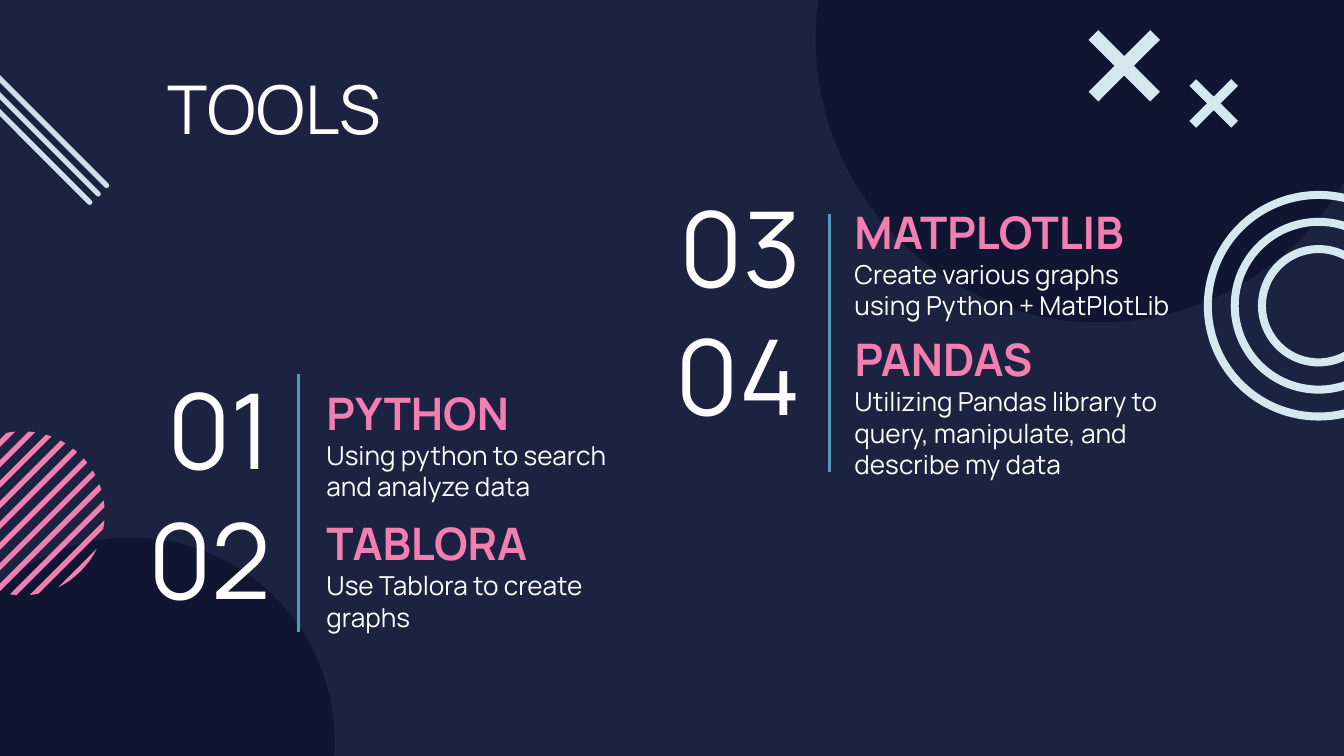
from math import sqrt

from lxml import etree
from pptx import Presentation
from pptx.dml.color import RGBColor
from pptx.enum.shapes import MSO_CONNECTOR, MSO_SHAPE
from pptx.enum.text import MSO_ANCHOR, PP_ALIGN
from pptx.oxml.ns import qn
from pptx.util import Pt

ELLIPSE, DONUT = MSO_SHAPE.OVAL, MSO_SHAPE.DONUT
STRAIGHT = MSO_CONNECTOR.STRAIGHT
TOP, MIDDLE, BOTTOM = MSO_ANCHOR.TOP, MSO_ANCHOR.MIDDLE, MSO_ANCHOR.BOTTOM
LEFT, RIGHT = PP_ALIGN.LEFT, PP_ALIGN.RIGHT

COLORS = {
    "background": "1C2340", "disc": "101632", "pink": "F27EB2", "ice": "D7E7EF",
    "streak": "D2DFE9", "divider": "559ABA", "white": "FFFFFF",
}
FONT = "Manrope"

TITLE = "TOOLS"
COLUMNS = [
    {"number_left": 48.2, "divider": (159.8, 200.2), "text_left": 167.8, "heading_height": 46.8,
     "tools": [
         ("01", "PYTHON", "Using python to search and analyze data", 228.2, 298),
         ("02", "TABLORA", "Use Tablora to create graphs", 298.1, 227.5)]},
    {"number_left": 331.9, "divider": (444.2, 114.5), "text_left": 450.7, "heading_height": 18.7,
     "tools": [
         ("03", "MATPLOTLIB", "Create various graphs using Python + MatPlotLib", 131, 185),
         ("04", "PANDAS", "Utilizing Pandas library to query, manipulate, and describe my data",
          199.4, 212.4)]},
]
DIVIDER_LENGTH = 138.2
NUMBER_SIZE = (104.4, 18.7)
DETAIL_SIZE = (185, 31.7)

STYLES = {
    "title": {"size": 36, "color": "white", "bold": False, "align": LEFT, "anchor": TOP},
    "number": {"size": 56, "color": "white", "bold": False, "align": RIGHT, "anchor": MIDDLE},
    "heading": {"size": 24, "color": "pink", "bold": True, "align": LEFT, "anchor": BOTTOM},
    "detail": {"size": 14, "color": "white", "bold": False, "align": LEFT, "anchor": TOP},
}

DISCS = [(-38.9, 288, 218.2), (437, -131, 303.8)]
RING_CENTER, RING_RADII, RING_WIDTH = (706.4, 163.8), (61.5, 47.1, 32.5), 4.3
STRIPED_CENTER, STRIPED_RADIUS = (12.2, 275), 43.9
STRIPE_COUNT, STRIPE_START, STRIPE_PITCH, STRIPE_WIDTH = 11, -36.6, 7.8, 2.8
STREAK_START, STREAK_SPAN, STREAK_STEP, STREAK_COUNT = (-24.3, 18), 81.4, 4.5, 3
CROSSES = [(650.2, 55.4, 13, 3.6), (602.3, 35.3, 19.1, 5.2)]


def rgb(name):
    return RGBColor.from_string(COLORS[name])


def paint(shape, color):
    shape.shadow.inherit = False
    shape.fill.solid()
    shape.fill.fore_color.rgb = rgb(color)
    shape.line.fill.background()


def add_round(slide, kind, left, top, size, color):
    shape = slide.shapes.add_shape(kind, Pt(left), Pt(top), Pt(size), Pt(size))
    paint(shape, color)
    return shape


def add_polygon(slide, points, color):
    corners = [(Pt(x), Pt(y)) for x, y in points]
    builder = slide.shapes.build_freeform(*corners[0])
    builder.add_line_segments(corners[1:], close=True)
    paint(builder.convert_to_shape(), color)


def add_line(slide, start, end, color, width, cap="flat"):
    line = slide.shapes.add_connector(STRAIGHT, *(Pt(v) for v in (*start, *end)))
    line.line.color.rgb = rgb(color)
    line.line.width = Pt(width)
    line.line._get_or_add_ln().set("cap", {"round": "rnd"}.get(cap, cap))
    etree.SubElement(line._element.spPr, qn("a:effectLst"))


def add_text(slide, text, role, left, top, width, height):
    style = STYLES[role]
    frame = slide.shapes.add_textbox(Pt(left), Pt(top), Pt(width), Pt(height)).text_frame
    frame_format = {"word_wrap": True, "vertical_anchor": style["anchor"]}
    frame_format.update({f"margin_{side}": Pt(7.2) for side in ("left", "top", "right", "bottom")})
    for key, value in frame_format.items():
        setattr(frame, key, value)
    paragraph = frame.paragraphs[0]
    paragraph.alignment = style["align"]
    run = paragraph.add_run()
    run.text = text
    for key, value in {"name": FONT, "size": Pt(style["size"]), "bold": style["bold"]}.items():
        setattr(run.font, key, value)
    run.font.color.rgb = rgb(style["color"])


def stripe_points(near, far):
    x, y = STRIPED_CENTER
    sides = {1: [], -1: []}
    for step in range(6):
        offset = near + (far - near) * step / 5
        half = sqrt(max(STRIPED_RADIUS ** 2 - offset ** 2, 0))
        for sign, points in sides.items():
            points.append((x + (offset + sign * half) / sqrt(2),
                           y + (offset - sign * half) / sqrt(2)))
    return sides[1] + sides[-1][::-1]


def cross_points(x, y, half, arm):
    points = []
    quarter = [(arm - half, -half), (-half, arm - half), (-arm, 0)]
    for _ in range(4):
        points += [(x + dx, y + dy) for dx, dy in quarter]
        quarter = [(dy, -dx) for dx, dy in quarter]
    return points


def add_decoration(slide):
    for left, top, size in DISCS:
        add_round(slide, ELLIPSE, left, top, size, "disc")
    for index in range(STRIPE_COUNT):
        near = STRIPE_START + index * STRIPE_PITCH
        far = min(near + STRIPE_WIDTH, STRIPED_RADIUS)
        add_polygon(slide, stripe_points(near, far), "pink")
    for radius in RING_RADII:
        left, top = (center - radius for center in RING_CENTER)
        ring = add_round(slide, DONUT, left, top, 2 * radius, "ice")
        ring.adjustments[0] = RING_WIDTH / (2 * radius)
    for index in range(STREAK_COUNT):
        x = STREAK_START[0] - index * STREAK_STEP
        y = STREAK_START[1] + index * STREAK_STEP
        add_line(slide, (x, y), (x + STREAK_SPAN, y + STREAK_SPAN), "streak", 2.8, "round")
    for cross in CROSSES:
        add_polygon(slide, cross_points(*cross), "ice")


def add_column(slide, column):
    left, height = column["text_left"], column["heading_height"]
    for number, heading, detail, top, heading_width in column["tools"]:
        number_top = top + 0.7 - NUMBER_SIZE[1] / 2
        add_text(slide, number, "number", column["number_left"], number_top, *NUMBER_SIZE)
        add_text(slide, heading, "heading", left, top + 14.4 - height, heading_width, height)
        add_text(slide, detail, "detail", left, top, *DETAIL_SIZE)
    x, y = column["divider"]
    add_line(slide, (x, y), (x, y + DIVIDER_LENGTH), "divider", 1.5)


def main():
    deck = Presentation()
    deck.slide_width, deck.slide_height = Pt(720), Pt(405)
    slide = deck.slides.add_slide(deck.slide_layouts[6])
    slide.background.fill.solid()
    slide.background.fill.fore_color.rgb = rgb("background")
    add_decoration(slide)
    add_text(slide, TITLE, "title", 82.8, 28.8, 291.6, 70.6)
    for column in COLUMNS:
        add_column(slide, column)
    deck.save("out.pptx")


if __name__ == "__main__":
    main()
